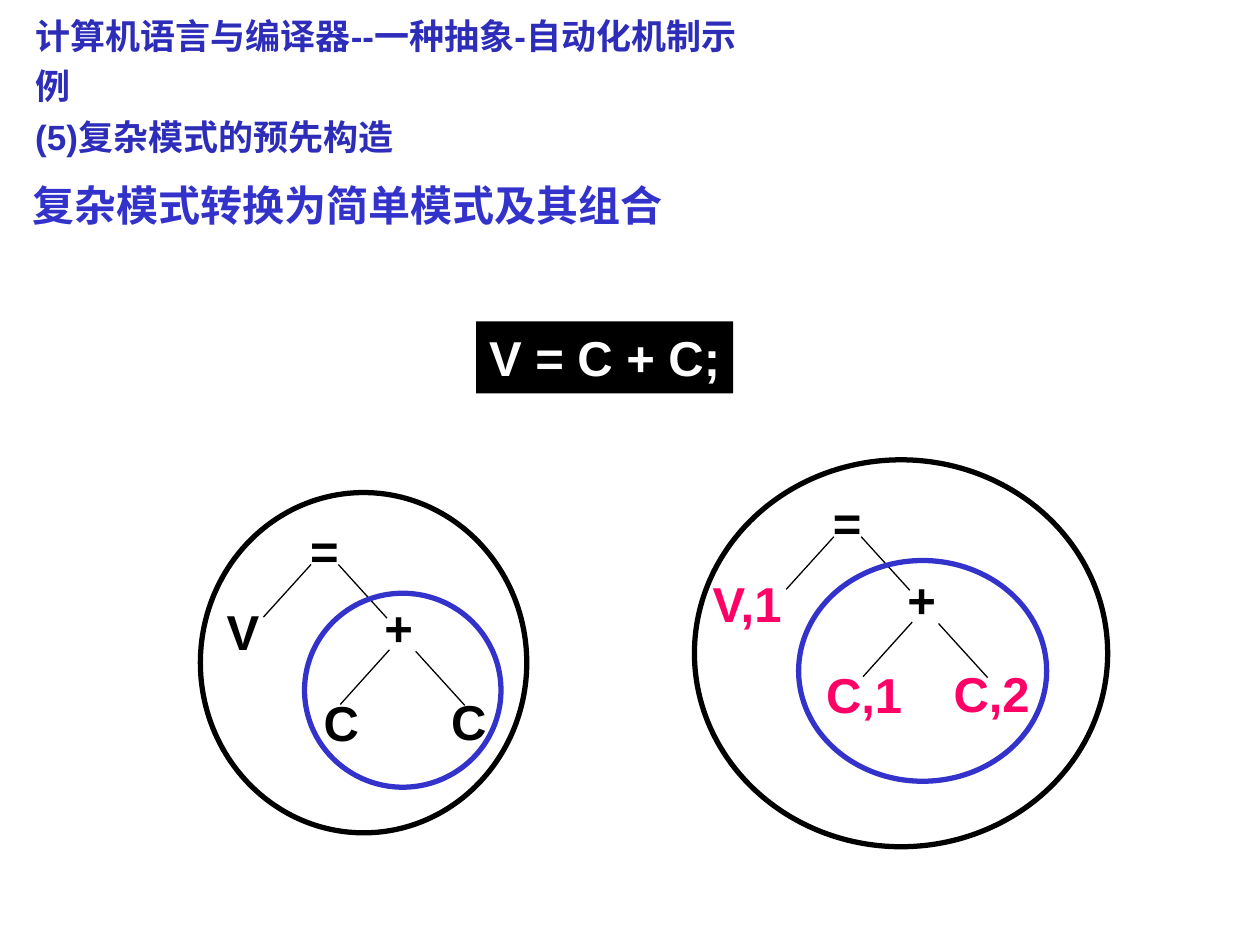
from lxml import etree
from pptx import Presentation
from pptx.dml import color
from pptx.enum import shapes, text
from pptx.oxml import ns
from pptx.util import Cm, Pt

BLACK, WHITE, BLUE, NAVY, PINK = "000000", "FFFFFF", "3333CC", "2D2DB9", "FF0066"
LABEL_WIDTHS = {"V": 1.17, "=": 1.09, "+": 1.09, "C": 1.22,
                "V,1": 1.98, "C,1": 2.06, "C,2": 2.06}
BRANCHES = [(-1.23, 2.08, -0.27, 1.02), (1.26, 2.1, 0.28, 1.02),
            (0.32, 3.84, 1.31, 2.74), (2.83, 3.86, 1.84, 2.77)]


def paint(hex_string):
    """Turn a hex string into a colour."""
    return color.RGBColor.from_string(hex_string)


def lengths(*values):
    """Turn centimetres into slide lengths."""
    return [Cm(value) for value in values]


def write(shape, lines, size, tone, font="Arial", spacing=None,
          align=text.PP_ALIGN.LEFT, wrap=True):
    """Fill a shape with bold lines, one paragraph each."""
    frame = shape.text_frame
    frame.word_wrap = wrap
    for index, line in enumerate(lines):
        para = frame.add_paragraph() if index else frame.paragraphs[0]
        para.alignment = align
        if spacing:
            para.line_spacing = spacing
        span = para.add_run()
        span.text = line
        span.font.size = Pt(size)
        span.font.bold = True
        span.font.name = font
        span.font.color.rgb = paint(tone)


def heading(page, box, lines, size, tone, font, spacing):
    """Place a heading block in its box."""
    write(page.shapes.add_textbox(*lengths(*box)), lines, size, tone, font, spacing)


def statement(page, box, line):
    """Place the source statement on a black bar."""
    bar = page.shapes.add_shape(shapes.MSO_SHAPE.RECTANGLE, *lengths(*box))
    bar.shadow.inherit = False
    bar.fill.solid()
    bar.fill.fore_color.rgb = paint(BLACK)
    bar.line.fill.background()
    write(bar, [line], 28, WHITE, align=text.PP_ALIGN.CENTER, wrap=False)


def label(group, middle, top, caption, tone):
    """Centre a tree label on a point."""
    width = LABEL_WIDTHS[caption]
    box = group.shapes.add_textbox(*lengths(middle - width / 2, top, width, 1.45))
    write(box, [caption], 28, tone, align=text.PP_ALIGN.CENTER, wrap=False)


def branch(group, ends):
    """Draw a thin tree branch."""
    line = group.shapes.add_connector(shapes.MSO_CONNECTOR.STRAIGHT, *lengths(*ends))
    line.line.color.rgb = paint(BLACK)
    line.line.width = Pt(0.75)
    etree.SubElement(line._element.spPr, ns.qn("a:effectLst"))


def ring(page, box, tone):
    """Draw an unfilled ellipse around a pattern."""
    oval = page.shapes.add_shape(shapes.MSO_SHAPE.OVAL, *lengths(*box))
    oval.shadow.inherit = False
    oval.fill.background()
    oval.line.color.rgb = paint(tone)
    oval.line.width = Pt(3)


def pattern(page, box, root, inner_size, leaves, leaf_tone, first_leaf):
    """Draw a syntax tree with its inner and outer pattern rings."""
    left, top, width, height = box
    x, y = left + root[0], top + root[1]
    group = page.shapes.add_group_shape()
    spots = [(first_leaf, 1.64), (0.34, 3.48), (2.91, 3.46)]
    for caption, (across, down) in zip(leaves, spots):
        label(group, x + across, y + down, caption, leaf_tone)
    label(group, x, y, "=", BLACK)
    label(group, x + 1.5, y + 1.56, "+", BLACK)
    for x1, y1, x2, y2 in BRANCHES:
        branch(group, (x + x1, y + y1, x + x2, y + y2))
    ring(page, (left + 2.1, top + 2.03, *inner_size), BLUE)
    ring(page, box, BLACK)


def main():
    """Build the slide and save it."""
    deck = Presentation()
    deck.slide_width, deck.slide_height = lengths(25.4, 19.05)
    page = deck.slides.add_slide(deck.slide_layouts[6])
    heading(page, (0.41, 3.2, 23.06, 1.57), ["复杂模式转换为简单模式及其组合"],
            24, BLUE, "Times New Roman", 1.3)
    statement(page, (9.6, 6.48, 5.18, 1.45), "V = C + C;")
    pattern(page, (4.04, 9.93, 6.58, 6.86), (2.5, 0.43), (3.96, 3.91),
            ["V", "C", "C"], BLACK, -1.64)
    pattern(page, (14, 9.27, 8.33, 7.8), (3.08, 0.53), (5, 4.45),
            ["V,1", "C,1", "C,2"], PINK, -2.02)
    heading(page, (0.46, 0, 15.32, 2.29),
            ["计算机语言与编译器--一种抽象-自动化机制示例", "(5)复杂模式的预先构造"],
            20, NAVY, "Arial", 1.2)
    deck.save("out.pptx")


if __name__ == "__main__":
    main()
